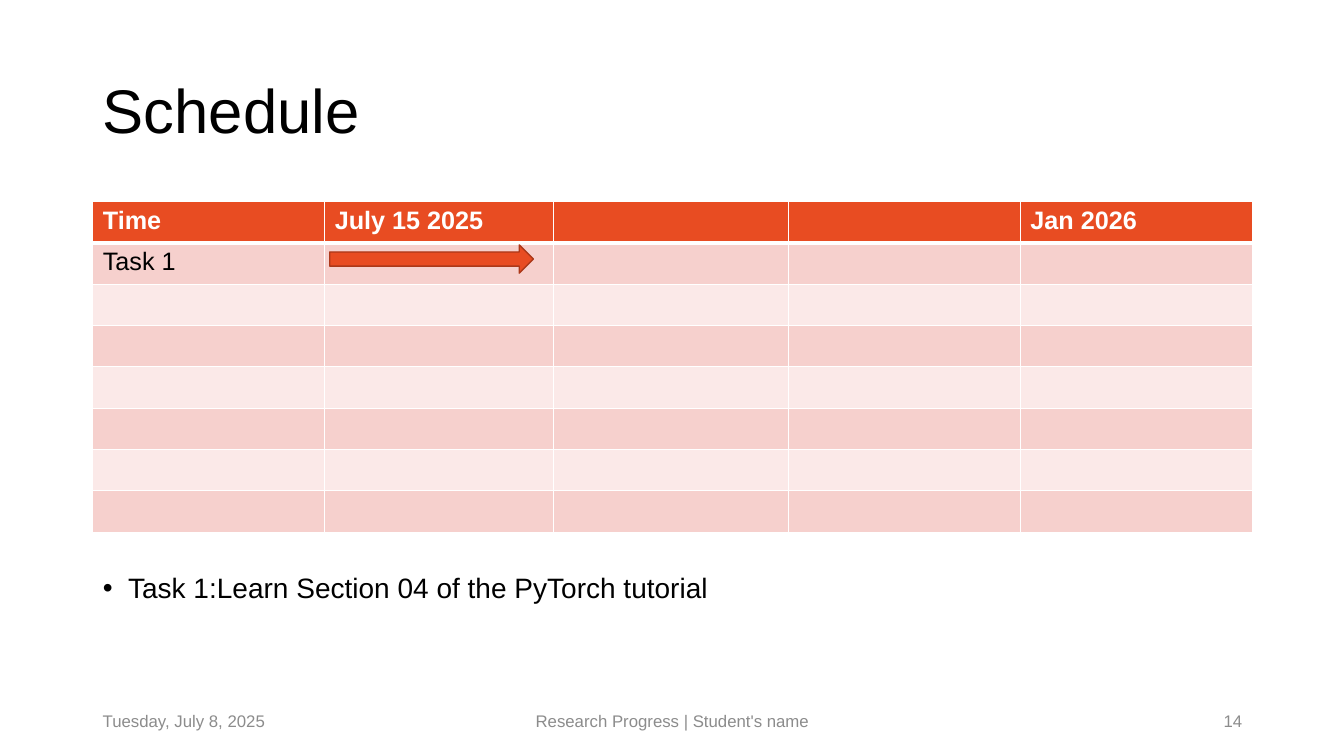
from lxml.etree import SubElement
from pptx import Presentation
from pptx.dml.color import RGBColor
from pptx.enum.shapes import MSO_SHAPE as Shape
from pptx.enum.text import MSO_ANCHOR as Anchor, MSO_AUTO_SIZE as AutoSize, PP_ALIGN as Align
from pptx.oxml.ns import qn
from pptx.util import Pt

PX = 9144
COLORS = {
    "accent": "E84C22",
    "outline": "AC3819",
    "band_dark": "F6D0CD",
    "band_light": "FBE9E8",
    "text": "000000",
    "muted": "8C8C8C",
    "white": "FFFFFF",
}
COLUMN_WIDTHS = [230, 227, 233, 230, 230]
ROW_COUNT, ROW_HEIGHT = 8, 41
HEADINGS = ["Time", "July 15 2025", "", "", "Jan 2026"]
FOOTERS = [
    ("Tuesday, July 8, 2025", 92, 300, Align.LEFT),
    ("Research Progress | Student's name", 442, 450, Align.CENTER),
    ("14", 942, 300, Align.RIGHT),
]


def emu(*lengths):
    """Turn px lengths into EMU."""
    return [length * PX for length in lengths]


def color(name):
    """Look up a named colour."""
    return RGBColor.from_string(COLORS[name])


def place(shape, *box):
    """Move and size a shape in px."""
    shape.left, shape.top, shape.width, shape.height = emu(*box)


def write(frame, text, size=18, ink="text", bold=False, align=Align.LEFT,
          anchor=Anchor.TOP, spacing=None, bullet=False):
    """Write one formatted paragraph into a text frame."""
    frame.word_wrap = True
    frame.auto_size = AutoSize.NONE
    frame.vertical_anchor = anchor
    para = frame.paragraphs[0]
    if bullet:
        add_bullet(para, 25)
    para.alignment = align
    para.space_before = Pt(0)
    para.line_spacing = spacing
    span = para.add_run()
    span.text = text
    font = span.font
    font.name, font.size, font.bold = "Arial", Pt(size), bold
    font.color.rgb = color(ink)


def add_bullet(para, indent):
    """Give a paragraph a round bullet with a hanging indent in px."""
    props = para._p.get_or_add_pPr()
    props.set("marL", str(indent * PX))
    props.set("indent", str(-indent * PX))
    SubElement(props, qn("a:buFont"), typeface="Arial")
    SubElement(props, qn("a:buChar"), char="•")


def add_borders(cell, **widths):
    """Draw white cell borders, with widths in points by side."""
    props = cell._tc.get_or_add_tcPr()
    for side, width in widths.items():
        line = SubElement(props, qn(f"a:ln{side}"), w=str(Pt(width)))
        fill = SubElement(line, qn("a:solidFill"))
        SubElement(fill, qn("a:srgbClr"), val=COLORS["white"])


def add_schedule(slide, left, top):
    """Add the banded schedule table."""
    size = emu(left, top, sum(COLUMN_WIDTHS), ROW_COUNT * ROW_HEIGHT)
    table = slide.shapes.add_table(ROW_COUNT, len(COLUMN_WIDTHS), *size).table
    for column, width in zip(table.columns, COLUMN_WIDTHS):
        column.width = width * PX
    for number, row in enumerate(table.rows):
        row.height = ROW_HEIGHT * PX
        band = "band_dark" if number % 2 else "band_light"
        for cell in row.cells:
            add_borders(cell, L=1, R=1, T=3 if number == 1 else 1, B=1 if number else 3)
            cell.fill.solid()
            cell.fill.fore_color.rgb = color(band if number else "accent")
    for column, heading in enumerate(HEADINGS):
        if heading:
            write(table.cell(0, column).text_frame, heading, ink="white", bold=True)
    write(table.cell(1, 0).text_frame, "Task 1")


def add_arrow(slide, *box):
    """Add a block arrow that marks a task's duration."""
    arrow = slide.shapes.add_shape(Shape.RIGHT_ARROW, *emu(*box))
    arrow.shadow.inherit = False
    arrow.fill.solid()
    arrow.fill.fore_color.rgb = color("accent")
    arrow.line.color.rgb = color("outline")
    arrow.line.width = Pt(1)


def add_footer(slide, text, left, width, align):
    """Add one grey footer text."""
    box = slide.shapes.add_textbox(*emu(left, 695, width, 40))
    write(box.text_frame, text, size=12, ink="muted", align=align, anchor=Anchor.MIDDLE)


def main():
    """Build the schedule slide."""
    deck = Presentation()
    deck.slide_width, deck.slide_height = emu(1333, 750)
    slide = deck.slides.add_slide(deck.slide_layouts[1])
    title, body = slide.placeholders
    place(title, 92, 40, 1150, 145)
    write(title.text_frame, "Schedule", size=44, anchor=Anchor.MIDDLE, spacing=0.9)
    place(body, 92, 565, 1150, 111)
    write(body.text_frame, "Task 1:Learn Section 04 of the PyTorch tutorial",
          size=20, spacing=0.9, bullet=True)
    add_schedule(slide, 92, 200)
    add_arrow(slide, 327, 243, 202, 28)
    for footer in FOOTERS:
        add_footer(slide, *footer)
    deck.save("out.pptx")


if __name__ == "__main__":
    main()
